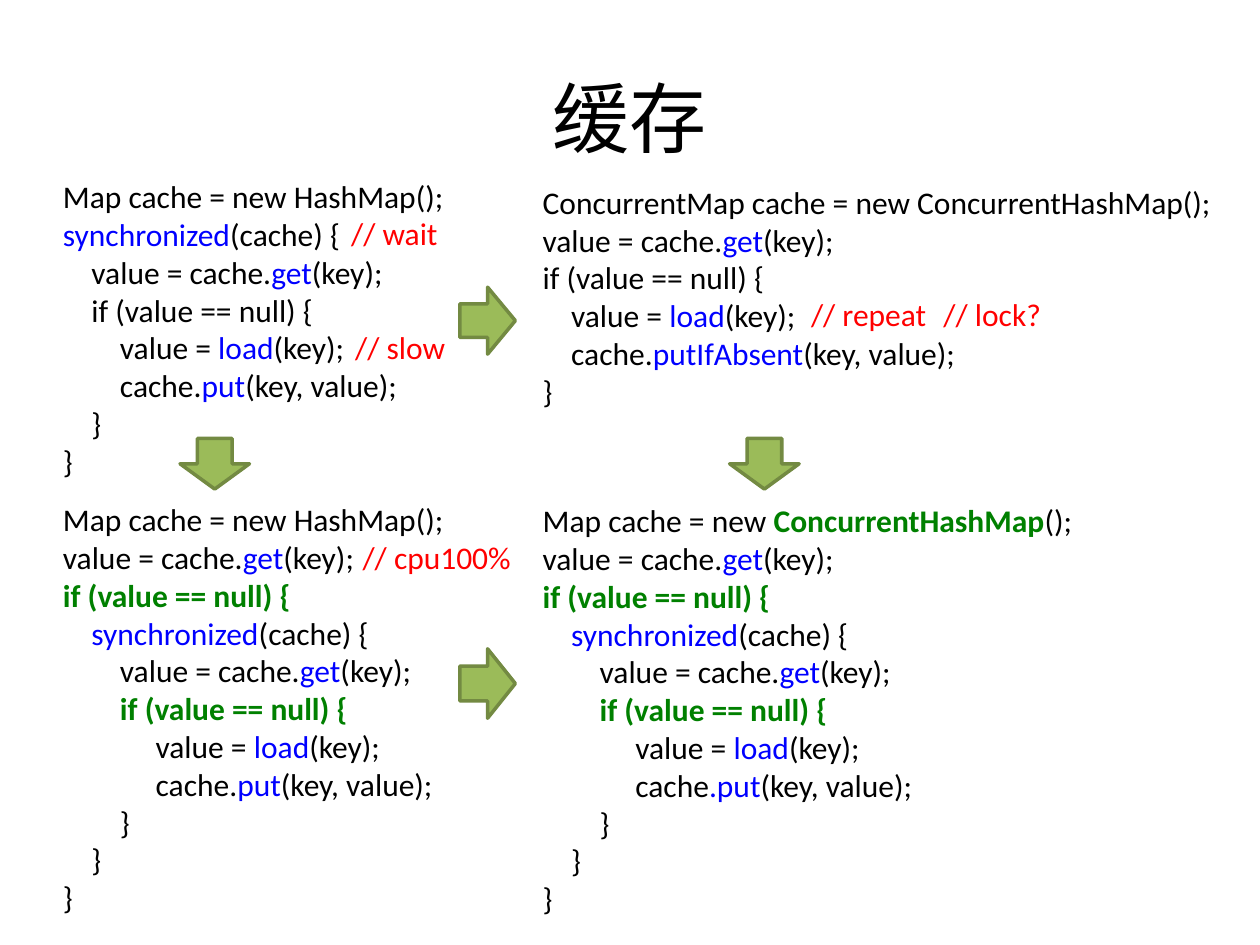
from pptx import Presentation
from pptx.dml.color import RGBColor
from pptx.enum.shapes import MSO_SHAPE
from pptx.enum.text import MSO_ANCHOR, MSO_AUTO_SIZE, PP_ALIGN
from pptx.util import Cm, Pt

RIGHT, DOWN = MSO_SHAPE.RIGHT_ARROW, MSO_SHAPE.DOWN_ARROW
MIDDLE, TOP = MSO_ANCHOR.MIDDLE, MSO_ANCHOR.TOP
LEFT, CENTER = PP_ALIGN.LEFT, PP_ALIGN.CENTER
FIT_SHAPE, NO_FIT = MSO_AUTO_SIZE.SHAPE_TO_FIT_TEXT, MSO_AUTO_SIZE.NONE

THEME = {
    "font": "Calibri", "title": 44, "code": 18, "indent": 0.575,
    "text": "000000", "call": "0000FF", "check": "008000", "remark": "FF0000",
    "arrow": "9BBB59", "arrow_line": "738A42", "arrow_width": 2,
}

# Content: a code line is (indent level, text); "|" separates its pieces,
# "@" marks a call and "!" a highlighted check
TITLE = "缓存"
GET = "value = cache.|@get|(key);"
LOAD = "value = |@load|(key);"
CHECK = "if (value == null) {"
LOCK = "@synchronized|(cache) {"
PUT = "cache.|@put|(key, value);"
HASH_MAP = "Map cache = new HashMap();"


def double_checked(declaration, put):
    return [(0, declaration), (0, GET), (0, "!" + CHECK), (1, LOCK), (2, GET),
            (2, "!" + CHECK), (3.25, LOAD), (3.25, put),
            (2, "}"), (1, "}"), (0, "}")]


LOCKED = [(0, HASH_MAP), (0, LOCK), (1, GET), (1, CHECK), (2, LOAD), (2, PUT),
          (1, "}"), (0, "}")]
CONCURRENT = [(0, "ConcurrentMap cache = new ConcurrentHashMap();"), (0, GET),
              (0, CHECK), (1, LOAD), (1, "cache.|@putIfAbsent|(key, value);"),
              (0, "}")]
CHECKED = double_checked(HASH_MAP, PUT)
COMBINED = double_checked("Map cache = new |!ConcurrentHashMap|();",
                          "cache|@.put|(key, value);")

# Places in cm: left, top, width, height
COL_1, COL_2 = 1.02, 10.69
BLOCKS = [
    (LOCKED, (COL_1, 3.45, 8.81, 6.4)),
    (CONCURRENT, (COL_2, 3.56, 14.1, 4.88)),
    (CHECKED, (COL_1, 9.96, 9.53, 8.71)),
    (COMBINED, (COL_2, 9.98, 11.43, 8.71)),
]
REMARKS = [
    ("// wait", (6.83, 4.19, 2.29, 1.02)),
    ("// slow", (6.91, 6.48, 2.34, 1.02)),
    ("// repeat", (16.1, 5.82, 2.87, 1.02)),
    ("// lock?", (18.77, 5.82, 2.49, 1.02)),
    ("// cpu100%", (7.06, 10.72, 3.53, 1.02)),
]
ARROWS = [
    (RIGHT, (9.27, 5.79, 1.12, 1.35)),
    (RIGHT, (9.27, 13.08, 1.12, 1.4)),
    (DOWN, (3.63, 8.84, 1.4, 1.02)),
    (DOWN, (14.71, 8.84, 1.4, 1.02)),
]


def rgb(name):
    return RGBColor.from_string(THEME[name])


def write(sp, lines, size="code", color="text", align=LEFT, anchor=TOP,
          wrap=True, fit=FIT_SHAPE):
    """Fill a shape with lines, colouring the marked pieces."""
    tf = sp.text_frame
    tf.word_wrap, tf.auto_size, tf.vertical_anchor = wrap, fit, anchor
    for i, (level, line) in enumerate(lines):
        p = tf.add_paragraph() if i else tf.paragraphs[0]
        p.alignment = align
        if level:
            pPr = p._p.get_or_add_pPr()
            pPr.set("marL", str(Cm(level * THEME["indent"])))
            pPr.set("indent", "0")
        for piece in line.split("|"):
            r = p.add_run()
            r.text = piece.lstrip("@!")
            style = {"@": "call", "!": "check"}.get(piece[0], color)
            r.font.name = THEME["font"]
            r.font.size = Pt(THEME[size])
            r.font.bold = style == "check"
            r.font.color.rgb = rgb(style)


def main():
    prs = Presentation()
    prs.slide_width, prs.slide_height = Cm(25.4), Cm(19.05)
    s = prs.slides.add_slide(prs.slide_layouts[5])

    # Title
    title = s.shapes.title
    title.left, title.top, title.width, title.height = map(
        Cm, (1.27, 0.76, 22.86, 3.18))
    write(title, [(0, TITLE)], size="title", align=CENTER, anchor=MIDDLE,
          fit=NO_FIT)

    # Code blocks and the remarks beside them
    for lines, box in BLOCKS:
        write(s.shapes.add_textbox(*map(Cm, box)), lines)
    for remark, box in REMARKS:
        write(s.shapes.add_textbox(*map(Cm, box)), [(0, remark)],
              color="remark", wrap=False)

    # Arrows from one version to the next
    for kind, box in ARROWS:
        sp = s.shapes.add_shape(kind, *map(Cm, box))
        sp.shadow.inherit = False
        sp.fill.solid()
        sp.fill.fore_color.rgb = rgb("arrow")
        sp.line.color.rgb = rgb("arrow_line")
        sp.line.width = Pt(THEME["arrow_width"])

    prs.save("out.pptx")


if __name__ == "__main__":
    main()
